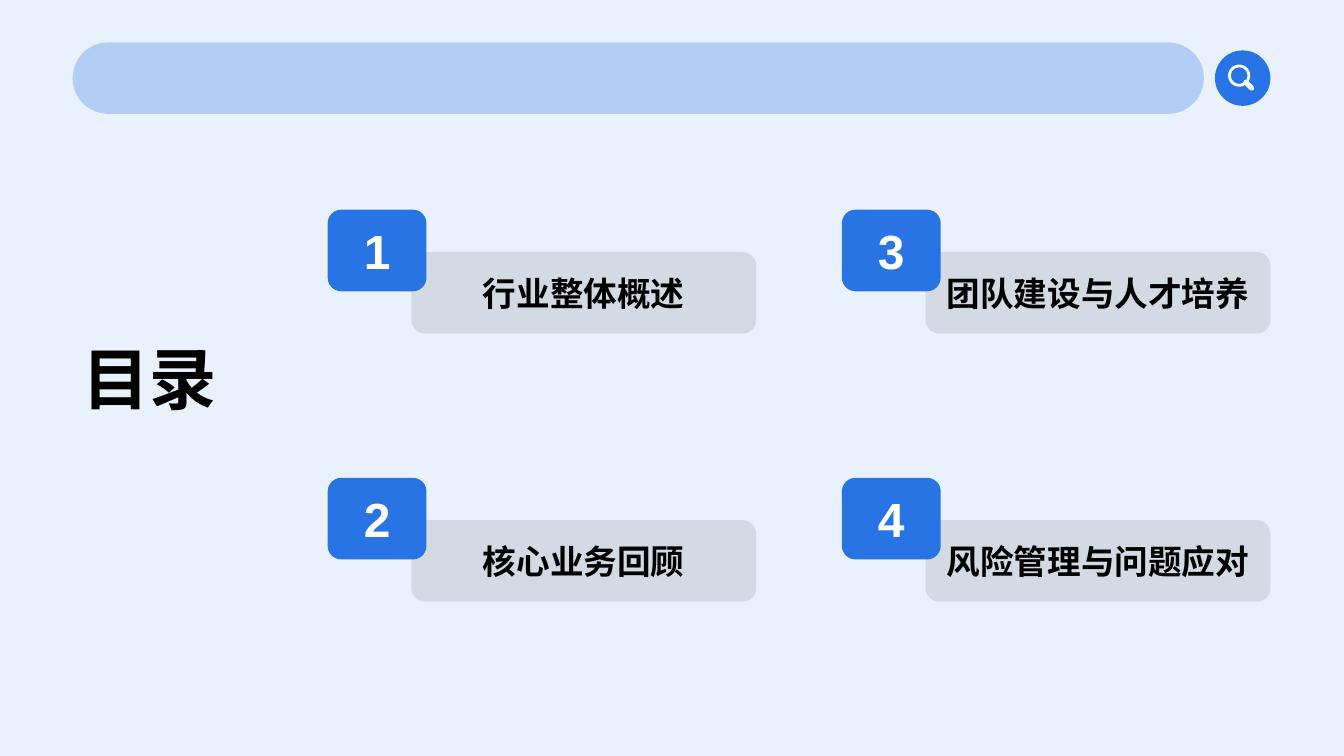
"""Build the contents slide with a search bar and four numbered topics."""
from lxml.etree import SubElement
from pptx import Presentation
from pptx.dml.color import RGBColor
from pptx.enum.shapes import MSO_SHAPE
from pptx.enum.text import MSO_ANCHOR, PP_ALIGN
from pptx.oxml.ns import qn
from pptx.util import Inches, Pt

PAGE = RGBColor(0xE9, 0xF1, 0xFC)
BAR = RGBColor(0xB2, 0xCE, 0xF6)
BLUE = RGBColor(0x28, 0x74, 0xE5)
GREY = RGBColor(0x80, 0x80, 0x80)
WHITE = RGBColor(0xFF, 0xFF, 0xFF)
BLACK = RGBColor(0x00, 0x00, 0x00)

FONT = "Arial"
TOPICS = ["行业整体概述", "核心业务回顾", "团队建设与人才培养", "风险管理与问题应对"]
ROWS = 2
GRID_LEFT, GRID_TOP = 3.25, 2.08
COLUMN_STEP, ROW_STEP = 5.1, 2.66
CARD_HEIGHT = 0.81
BADGE_WIDTH, PANEL_WIDTH = 0.98, 3.42
PANEL_SHIFT_X, PANEL_SHIFT_Y = 0.83, 0.42


def add_block(slide, preset, box, color, opacity=100):
    """Add a borderless preset shape, optionally see-through."""
    block = slide.shapes.add_shape(preset, *map(Inches, box))
    block.shadow.inherit = False
    block.line.fill.background()
    block.fill.solid()
    block.fill.fore_color.rgb = color
    if opacity < 100:
        tint = block.fill._xPr.find(qn("a:solidFill"))[0]
        SubElement(tint, qn("a:alpha"), val=str(opacity * 1000))
    return block


def write(holder, wording, size, color, align=PP_ALIGN.CENTER, wrap=True):
    """Write one bold, vertically centred line into a shape."""
    frame = holder.text_frame
    frame.word_wrap = wrap
    frame.vertical_anchor = MSO_ANCHOR.MIDDLE
    line = frame.paragraphs[0]
    line.alignment = align
    run = line.add_run()
    run.text = wording
    run.font.name = FONT
    run.font.size = Pt(size)
    run.font.bold = True
    run.font.color.rgb = color


def add_search_bar(slide):
    """Draw the search field and its magnifier button."""
    field = add_block(slide, MSO_SHAPE.ROUNDED_RECTANGLE, (0.72, 0.42, 11.22, 0.71), BAR)
    field.adjustments[0] = 0.5
    add_block(slide, MSO_SHAPE.OVAL, (12.05, 0.5, 0.55, 0.55), BLUE)
    lens = add_block(slide, MSO_SHAPE.DONUT, (12.18, 0.64, 0.22, 0.22), WHITE)
    lens.adjustments[0] = 0.12
    handle = add_block(slide, MSO_SHAPE.ROUNDED_RECTANGLE, (12.32, 0.82, 0.13, 0.05), WHITE)
    handle.adjustments[0] = 0.5
    handle.rotation = 45


def add_heading(slide, wording):
    """Add the slide heading at the left."""
    heading = slide.shapes.add_textbox(*map(Inches, (0.72, 3.15, 2.8, 1.19)))
    write(heading, wording, 48, BLACK, PP_ALIGN.LEFT, wrap=False)


def add_topic(slide, index, topic):
    """Place a topic panel and its number badge, filling columns downwards."""
    column, row = divmod(index, ROWS)
    left = GRID_LEFT + column * COLUMN_STEP
    top = GRID_TOP + row * ROW_STEP
    panel_box = (left + PANEL_SHIFT_X, top + PANEL_SHIFT_Y, PANEL_WIDTH, CARD_HEIGHT)
    panel = add_block(slide, MSO_SHAPE.ROUNDED_RECTANGLE, panel_box, GREY, opacity=20)
    write(panel, topic, 24, BLACK)
    badge_box = (left, top, BADGE_WIDTH, CARD_HEIGHT)
    badge = add_block(slide, MSO_SHAPE.ROUNDED_RECTANGLE, badge_box, BLUE)
    write(badge, str(index + 1), 34.2, WHITE, wrap=False)


def main():
    """Assemble and save the slide."""
    deck = Presentation()
    deck.slide_width, deck.slide_height = Inches(13.33), Inches(7.5)
    slide = deck.slides.add_slide(deck.slide_layouts[6])
    slide.background.fill.solid()
    slide.background.fill.fore_color.rgb = PAGE
    add_search_bar(slide)
    add_heading(slide, "目录")
    for index, topic in enumerate(TOPICS):
        add_topic(slide, index, topic)
    deck.save("out.pptx")


if __name__ == "__main__":
    main()
